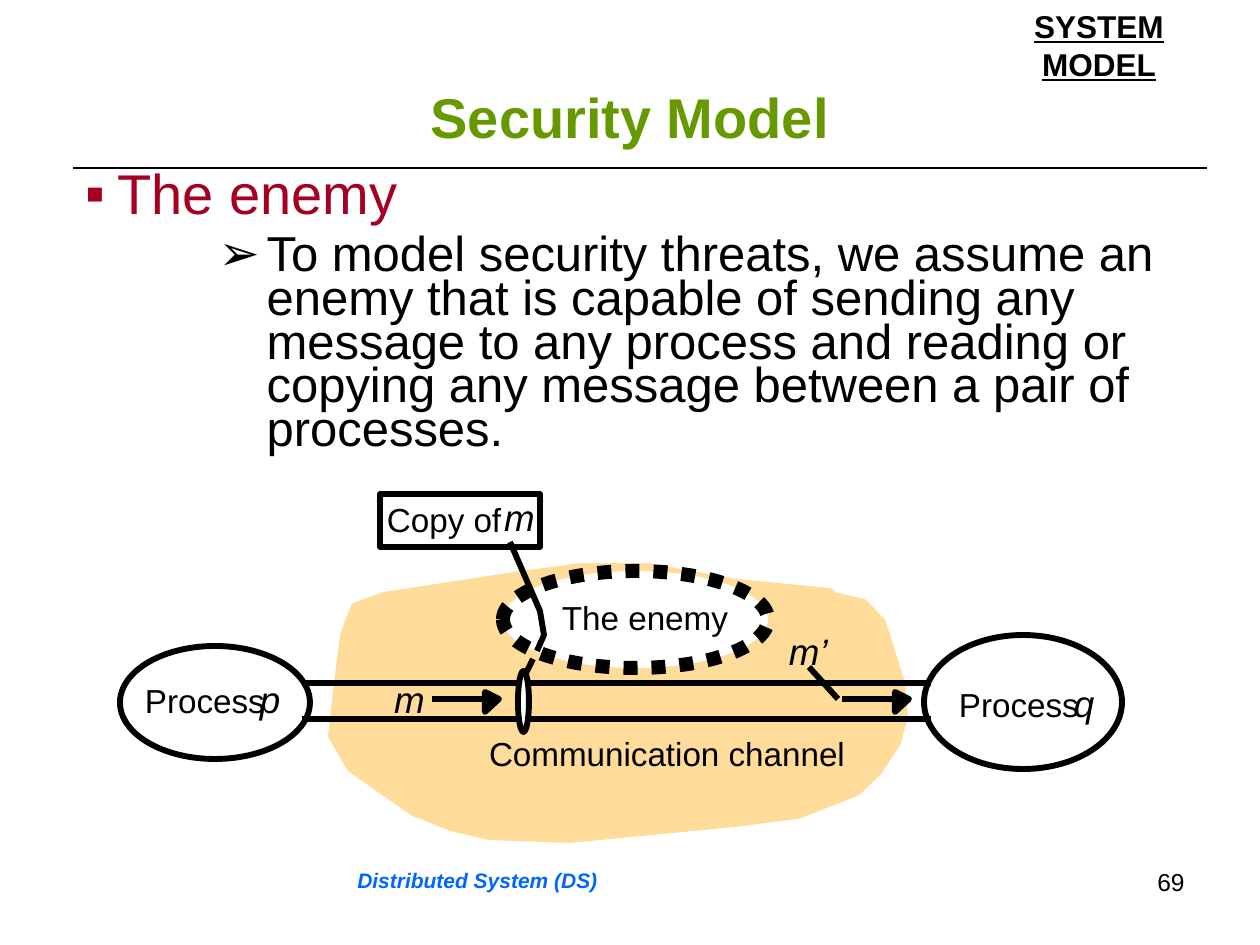
from lxml import etree
from pptx import Presentation
from pptx import util as u
from pptx.dml.color import RGBColor
from pptx.enum import dml, shapes, text
from pptx.oxml.ns import qn

SCALE = 914400 / 126  # EMU per px
COLOURS = {
    "black": "000000",
    "white": "FFFFFF",
    "title": "669900",
    "heading": "A50021",
    "footer": "0066FF",
    "cloud": "FFDC99",
}
STROKE = 3.37
CLOUD = [
    (830, 591), (737, 582), (648, 566), (581, 566), (514, 575), (384, 595),
    (354, 606), (343, 635), (335, 699), (331, 736), (350, 769), (413, 813),
    (451, 828), (488, 837), (570, 840), (735, 824), (798, 816), (857, 793),
    (879, 772), (898, 743), (905, 716), (902, 683), (883, 622), (864, 602),
    (834, 595),
]


def px(*lengths):
    return [u.Emu(round(length * SCALE)) for length in lengths]


def rgb(name):
    return RGBColor.from_string(COLOURS[name])


def write(paragraph, words, size=19, colour="black", bold=False, italic=False,
          underline=False, align=None):
    run = paragraph.add_run()
    run.text = words
    font = run.font
    font.name, font.size = "Arial", u.Pt(size)
    font.bold, font.italic, font.underline = bold, italic, underline
    font.color.rgb = rgb(colour)
    if align is not None:
        paragraph.alignment = align


def add_text(parent, box, words, insets=(0, 0), wrap=False, **style):
    frame = parent.add_textbox(*px(*box)).text_frame
    frame.word_wrap = wrap
    frame.margin_left = frame.margin_right = u.Inches(insets[0])
    frame.margin_top = frame.margin_bottom = u.Inches(insets[1])
    write(frame.paragraphs[0], words, **style)


def add_variable(parent, box, words):
    add_text(parent, box, words, size=21, italic=True)


def paint(shape, fill, line, width=STROKE):
    shape.shadow.inherit = False
    if fill:
        shape.fill.solid()
        shape.fill.fore_color.rgb = rgb(fill)
    else:
        shape.fill.background()
    shape.line.color.rgb = rgb(line)
    shape.line.width = u.Pt(width)


def add_preset(parent, kind, box, fill="white", line="black", width=STROKE):
    shape = parent.add_shape(kind, *px(*box))
    paint(shape, fill, line, width)
    return shape


def add_outline(parent, points, fill=None, line="black", close=True):
    builder = parent.build_freeform(*points[0], scale=SCALE)
    builder.add_line_segments(points[1:], close=close)
    paint(builder.convert_to_shape(), fill, line)


def add_line(parent, *ends):
    line = parent.add_connector(shapes.MSO_CONNECTOR.STRAIGHT, *px(*ends))
    line.line.color.rgb = rgb("black")
    line.line.width = u.Pt(STROKE)
    etree.SubElement(line._element.spPr, qn("a:effectLst"))


def add_arrow(parent, left, head, y=699):
    add_outline(parent, [(head, y), (head, y - 7), (head + 14, y), (head, y + 13)],
                fill="black")
    add_line(parent, left, y, head - 2, y)


def add_bullet(paragraph, symbol, words, left, hanging, **style):
    paragraph.line_spacing = 0.8
    properties = paragraph._p.get_or_add_pPr()
    margin, indent = px(left, -hanging)
    properties.set("marL", str(margin))
    properties.set("indent", str(indent))
    colour = etree.SubElement(properties, qn("a:buClr"))
    etree.SubElement(colour, qn("a:srgbClr"), val=COLOURS[style.get("colour", "black")])
    etree.SubElement(properties, qn("a:buFont"), typeface="Arial")
    etree.SubElement(properties, qn("a:buChar"), char=symbol)
    write(paragraph, words, **style)


def add_body_table(slide):
    table = slide.shapes.add_table(1, 1, *px(73, 168, 1134, 314)).table
    table.first_row = table.horz_banding = False
    cell = table.cell(0, 0)
    frame = cell.text_frame
    add_bullet(frame.paragraphs[0], "▪", "The enemy", 32, 32, size=32, colour="heading")
    detail = frame.add_paragraph()
    detail.level = 1
    detail.space_before = u.Pt(7)
    add_bullet(detail, "➢", "To model security threats, we assume an enemy that is "
               "capable of sending any message to any process and reading or copying "
               "any message between a pair of processes.", 181, 48, size=28)

    # Only the top border shows, as a rule under the title
    properties = cell._tc.get_or_add_tcPr()
    for side in ("lnL", "lnR", "lnT", "lnB"):
        border = etree.SubElement(properties, qn(f"a:{side}"))
        if side == "lnT":
            border.set("w", str(u.Pt(1.08)))
            fill = etree.SubElement(border, qn("a:solidFill"))
            etree.SubElement(fill, qn("a:srgbClr"), val=COLOURS["black"])
        else:
            etree.SubElement(border, qn("a:noFill"))
    cell.fill.background()


def add_diagram(slide):
    group = slide.shapes.add_group_shape().shapes
    oval = shapes.MSO_SHAPE.OVAL

    # Network cloud and the enemy
    add_outline(group, CLOUD, fill="cloud", line="cloud")
    enemy = add_preset(group, oval, (503, 571, 265, 97), width=8)
    enemy.line.dash_style = dml.MSO_LINE.ROUND_DOT
    add_text(group, (562, 597, 166, 40), "The enemy")

    # Processes and the channel between them
    add_preset(group, oval, (924, 635, 198, 134))
    add_preset(group, oval, (120, 646, 190, 113))
    for y in (683, 719):
        add_line(group, 302, y, 931, y)
    for left, top, name in ((145, 680, "p"), (959, 684, "q")):
        add_text(group, (left, top, 130, 40), "Process")
        add_variable(group, (left + 115, top - 3, 20, 44), name)
    add_text(group, (489, 733, 357, 40), "Communication channel")

    # Messages
    add_variable(group, (394, 677, 30, 44), "m")
    add_arrow(group, 432, 485)
    add_variable(group, (789, 629, 39, 44), "m’")
    add_arrow(group, 842, 895)
    add_line(group, 838, 699, 809, 667)

    # Copied message and its tap on the channel
    add_preset(group, shapes.MSO_SHAPE.RECTANGLE, (380, 494, 160, 53), fill=None)
    add_text(group, (387, 499, 127, 40), "Copy of")
    add_variable(group, (504, 495, 30, 44), "m")
    add_preset(group, oval, (518, 671, 11, 61))
    add_line(group, 525, 675, 533, 659)
    add_outline(group, [(510, 542), (540, 611), (544, 635), (537, 651)], close=False)


def main():
    presentation = Presentation()
    presentation.slide_width, presentation.slide_height = px(1260, 945)
    slide = presentation.slides.add_slide(presentation.slide_layouts[5])
    align = text.PP_ALIGN

    # Title and body
    title = slide.shapes.title
    title.left, title.top, title.width, title.height = px(63, 77, 1134, 79)
    write(title.text_frame.paragraphs[0], "Security Model", size=32, colour="title",
          bold=True, align=align.CENTER)
    add_body_table(slide)
    add_diagram(slide)

    # Running header and footer
    insets = (0.1, 0.05)
    add_text(slide.shapes, (961, 1, 276, 50), "SYSTEM MODEL", insets, size=18,
             bold=True, underline=True, align=align.CENTER)
    add_text(slide.shapes, (63, 861, 829, 66), "Distributed System (DS)", insets, True,
             size=12, colour="footer", bold=True, italic=True, align=align.CENTER)
    add_text(slide.shapes, (903, 861, 294, 66), "69", insets, True, size=14,
             align=align.RIGHT)
    presentation.save("out.pptx")


if __name__ == "__main__":
    main()
